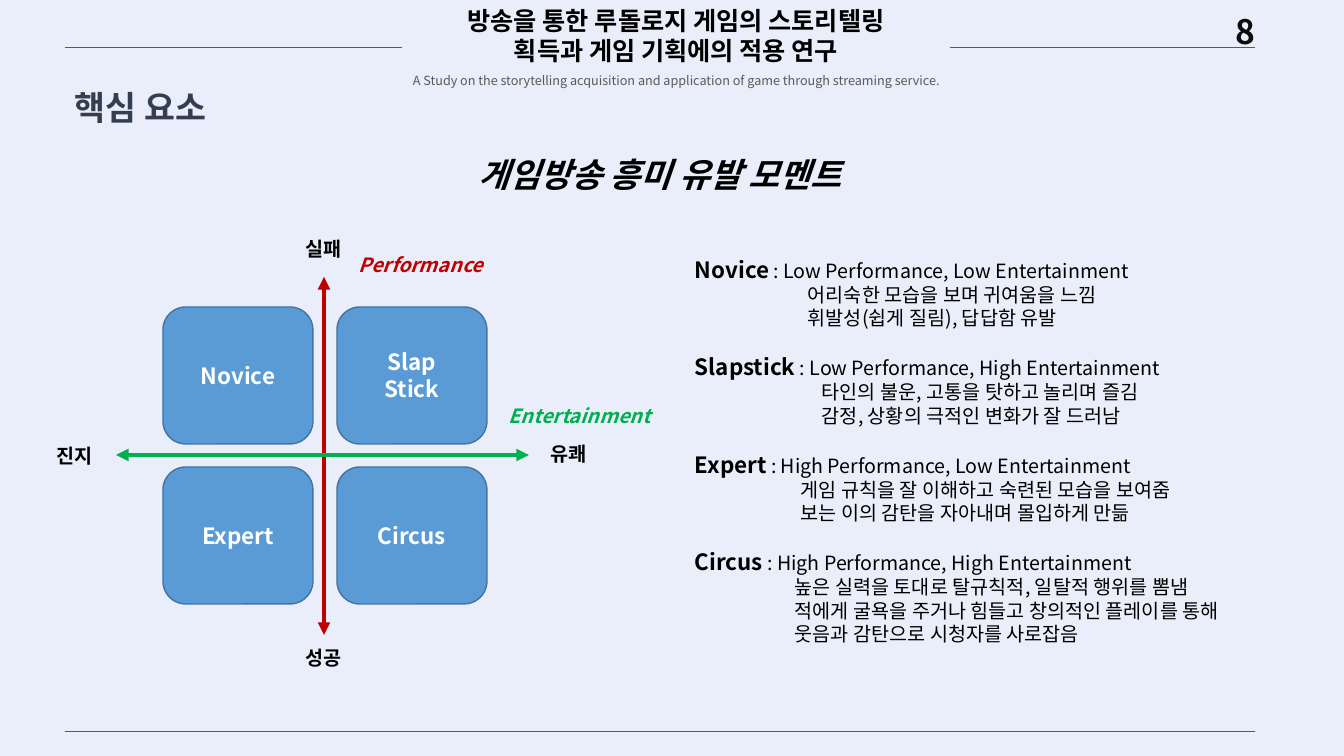
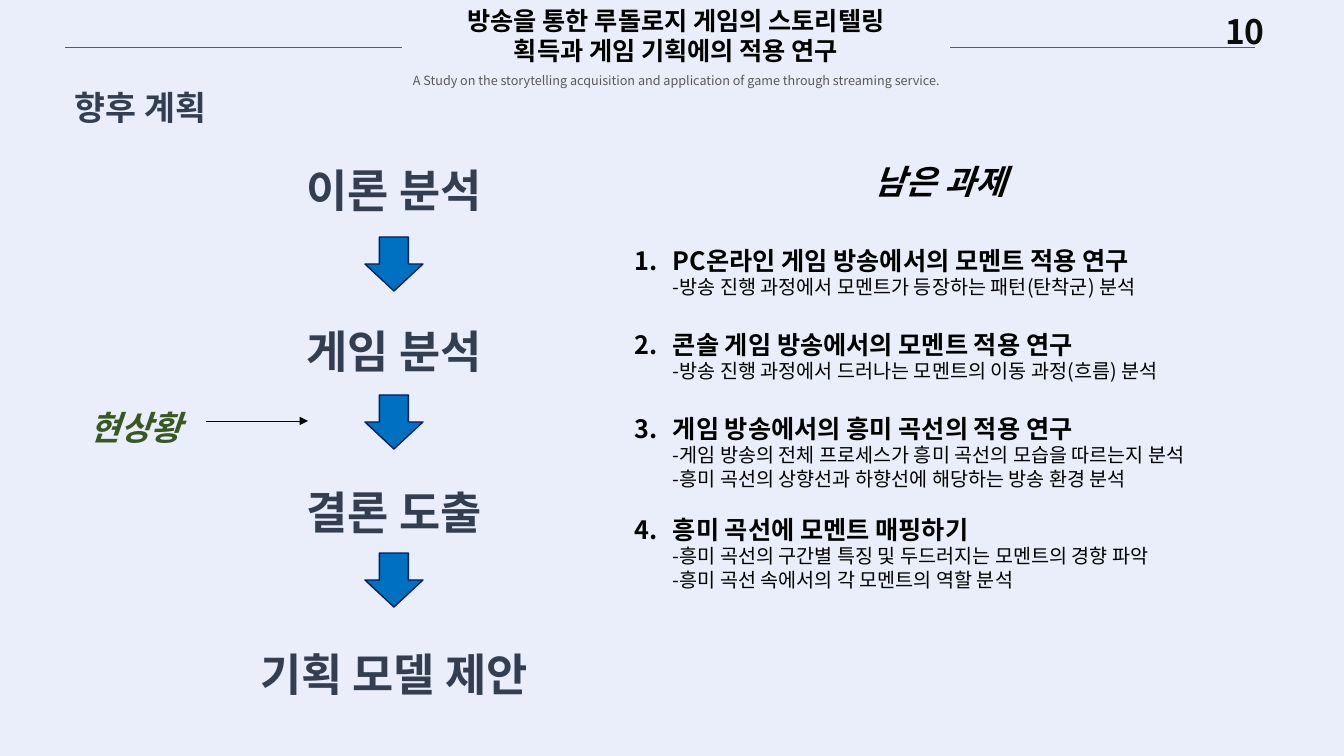
from lxml import etree
from pptx import Presentation
from pptx.dml.color import RGBColor
from pptx.enum.shapes import MSO_CONNECTOR, MSO_SHAPE
from pptx.enum.text import MSO_ANCHOR, PP_ALIGN
from pptx.oxml.ns import qn
from pptx.util import Emu, Pt

SLIDE_W, SLIDE_H = 1344, 756
FONT = "Noto Sans CJK KR"
COLORS = {
    "background": "EAEEFA", "rule": "595959", "page": "0D0D0D", "heading": "333F50",
    "black": "000000", "white": "FFFFFF", "subtitle": "595959",
    "tile": "5B9BD5", "tile_line": "43739E", "performance": "C00000",
    "entertainment": "00B050", "step": "0070C0", "step_line": "002060", "now": "385723",
}
LEFT, CENTER = PP_ALIGN.LEFT, PP_ALIGN.CENTER
TOP, MIDDLE = MSO_ANCHOR.TOP, MSO_ANCHOR.MIDDLE
RECT, ROUNDED = MSO_SHAPE.RECTANGLE, MSO_SHAPE.ROUNDED_RECTANGLE
DOWN_ARROW, STRAIGHT = MSO_SHAPE.DOWN_ARROW, MSO_CONNECTOR.STRAIGHT
SINGLE, WIDE = 1.2, 1.8  # line pitch as a multiple of the text size

STUDY_TITLE = ["방송을 통한 루돌로지 게임의 스토리텔링", "획득과 게임 기획에의 적용 연구"]
STUDY_SUBTITLE = ("A Study on the storytelling acquisition and application "
                  "of game through streaming service.")

# Name, axis levels, indent of the details, details
MOMENTS = [
    ("Novice", "Low Performance, Low Entertainment", 113,
     ["어리숙한 모습을 보며 귀여움을 느낌", "휘발성(쉽게 질림), 답답함 유발"]),
    ("Slapstick", "Low Performance, High Entertainment", 127,
     ["타인의 불운, 고통을 탓하고 놀리며 즐김", "감정, 상황의 극적인 변화가 잘 드러남"]),
    ("Expert", "High Performance, Low Entertainment", 106,
     ["게임 규칙을 잘 이해하고 숙련된 모습을 보여줌", "보는 이의 감탄을 자아내며 몰입하게 만듦"]),
    ("Circus", "High Performance, High Entertainment", 100,
     ["높은 실력을 토대로 탈규칙적, 일탈적 행위를 뽐냄",
      "적에게 굴욕을 주거나 힘들고 창의적인 플레이를 통해",
      "웃음과 감탄으로 시청자를 사로잡음"]),
]
QUADRANTS = [["Novice"], ["Slap", "Stick"], ["Expert"], ["Circus"]]
STEPS = ["이론 분석", "게임 분석", "결론 도출", "기획 모델 제안"]

# Space before in points, task, details
TASKS = [
    (0, "PC온라인 게임 방송에서의 모멘트 적용 연구",
     ["-방송 진행 과정에서 모멘트가 등장하는 패턴(탄착군) 분석"]),
    (21.6, "콘솔 게임 방송에서의 모멘트 적용 연구",
     ["-방송 진행 과정에서 드러나는 모멘트의 이동 과정(흐름) 분석"]),
    (21.6, "게임 방송에서의 흥미 곡선의 적용 연구",
     ["-게임 방송의 전체 프로세스가 흥미 곡선의 모습을 따르는지 분석",
      "-흥미 곡선의 상향선과 하향선에 해당하는 방송 환경 분석"]),
    (16.8, "흥미 곡선에 모멘트 매핑하기",
     ["-흥미 곡선의 구간별 특징 및 두드러지는 모멘트의 경향 파악",
      "-흥미 곡선 속에서의 각 모멘트의 역할 분석"]),
]


def px(length):
    return Emu(round(length * 914400 / 100.8))


def rgb(name):
    return RGBColor.from_string(COLORS[name])


# Text
def add_run(paragraph, text, size, color="black", bold=False, italic=False):
    run = paragraph.add_run()
    run.text = text
    font = run.font
    font.name, font.size, font.bold, font.italic = FONT, Pt(size), bold, italic
    font.color.rgb = rgb(color)
    etree.SubElement(run.font._element, qn("a:ea"), typeface=FONT)


def add_paragraph(frame, size, align=LEFT, pitch=SINGLE, before=0, indent=0):
    first = frame.paragraphs[0]
    paragraph = frame.add_paragraph() if first.runs else first
    paragraph.alignment = align
    paragraph.line_spacing = Pt(size * pitch)
    paragraph.space_before = Pt(before)
    if indent:
        paragraph._p.get_or_add_pPr().set("marL", str(px(indent)))
    return paragraph


def add_lines(frame, lines, size, color="black", align=CENTER, pitch=SINGLE,
              before=0, bold=True, italic=False):
    for number, line in enumerate(lines):
        paragraph = add_paragraph(frame, size, align, pitch, before if number else 0)
        add_run(paragraph, line, size, color, bold, italic)


def add_frame(slide, box, anchor=TOP):
    frame = slide.shapes.add_textbox(*map(px, box)).text_frame
    frame.word_wrap = True
    frame.vertical_anchor = anchor
    return frame


def add_number(paragraph, number, hang):
    props = paragraph._p.get_or_add_pPr()
    props.set("indent", str(-px(hang)))
    etree.SubElement(props, qn("a:buFont"), typeface="+mj-lt")
    etree.SubElement(props, qn("a:buAutoNum"), type="arabicPeriod", startAt=str(number))


# Shapes and lines
def add_block(slide, kind, box, fill, line=None):
    block = slide.shapes.add_shape(kind, *map(px, box))
    block.shadow.inherit = False
    block.fill.solid()
    block.fill.fore_color.rgb = rgb(fill)
    if line:
        block.line.color.rgb = rgb(line)
        block.line.width = Pt(1)
    else:
        block.line.fill.background()
    return block


def add_line(slide, start, end, color, width=0.5, arrows=()):
    line = slide.shapes.add_connector(STRAIGHT, *map(px, start + end))
    line.line.color.rgb = rgb(color)
    line.line.width = Pt(width)
    for arrow in arrows:
        etree.SubElement(line.line._get_or_add_ln(), qn(arrow), type="triangle")
    etree.SubElement(line._element.spPr, qn("a:effectLst"))


# Parts shared by the slides
def add_page(deck, page, heading):
    slide = deck.slides.add_slide(deck.slide_layouts[6])
    slide.background.fill.solid()
    slide.background.fill.fore_color.rgb = rgb("background")
    add_lines(add_frame(slide, (1164, 6, 162, 40)), [page], 24, "page")
    add_line(slide, (65, 47), (1255, 47), "rule")
    band = add_block(slide, RECT, (402, 0, 548, 94), "background").text_frame
    band.word_wrap = True
    band.vertical_anchor = TOP
    add_lines(band, STUDY_TITLE, 18)
    add_lines(band, [STUDY_SUBTITLE], 9, "subtitle", pitch=WIDE, bold=False)
    add_lines(add_frame(slide, (65, 65, 198, 63), MIDDLE), [heading], 24, "heading",
              LEFT, WIDE)
    return slide


# Quadrants around the two axes
def add_matrix(slide, left, top):
    for number, name in enumerate(QUADRANTS):
        row, column = divmod(number, 2)
        box = (left + 128 + 174 * column, top + 75 + 160 * row, 150, 137)
        tile = add_block(slide, ROUNDED, box, "tile", "tile_line").text_frame
        tile.vertical_anchor = MIDDLE
        add_lines(tile, name, 16, "white")
    both = ("a:headEnd", "a:tailEnd")
    add_line(slide, (left + 289, top + 45), (left + 289, top + 403), "performance", 3, both)
    add_line(slide, (left + 494, top + 223), (left + 81, top + 223), "entertainment", 3, both)
    for text, x, y, width, color in (
            ("실패", 196, 0, 186, "black"), ("성공", 196, 409, 186, "black"),
            ("진지", 0, 207, 80, "black"), ("유쾌", 494, 205, 80, "black"),
            ("Performance", 290, 16, 192, "performance"),
            ("Entertainment", 429, 167, 231, "entertainment")):
        add_lines(add_frame(slide, (left + x, top + y, width, 45)), [text], 14, color,
                  italic=color != "black")


def add_moments(slide, box):
    frame = add_frame(slide, box)
    for number, (name, levels, indent, details) in enumerate(MOMENTS):
        title = add_paragraph(frame, 16, before=16.8 if number else 0)
        add_run(title, name, 16, bold=True)
        add_run(title, " : " + levels, 14)
        for detail in details:
            add_run(add_paragraph(frame, 14, indent=indent), detail, 14)


# Steps with arrows between them
def add_steps(slide, box):
    left, top, width, _ = box
    add_lines(add_frame(slide, box, MIDDLE), STEPS, 32, "heading", pitch=WIDE, before=57.6)
    for gap in range(len(STEPS) - 1):
        arrow = (left + width // 2 - 29, top + 109 + 158 * gap, 58, 54)
        add_block(slide, DOWN_ARROW, arrow, "step", "step_line")


def add_now_marker(slide, left, top):
    add_lines(add_frame(slide, (left, top, 141, 64), MIDDLE), ["현상황"], 24, "now",
              pitch=WIDE, italic=True)
    add_line(slide, (left + 141, top + 36), (left + 243, top + 36), "black",
             arrows=("a:tailEnd",))


def add_tasks(slide, box):
    frame, hang = add_frame(slide, box), 38
    for number, (before, task, details) in enumerate(TASKS, 1):
        title = add_paragraph(frame, 18, before=before, indent=hang)
        add_number(title, number, hang)
        add_run(title, task, 18, bold=True)
        for detail in details:
            add_run(add_paragraph(frame, 14, indent=hang), detail, 14)


# Slides
def add_moment_slide(deck):
    slide = add_page(deck, "8", "핵심 요소")
    add_line(slide, (65, 731), (1255, 731), "rule")
    add_lines(add_frame(slide, (440, 128, 440, 72), MIDDLE), ["게임방송 흥미 유발 모멘트"], 24,
              pitch=WIDE, italic=True)
    add_matrix(slide, 35, 232)
    add_moments(slide, (685, 251, 631, 417))


def add_plan_slide(deck):
    slide = add_page(deck, "10", "향후 계획")
    add_steps(slide, (200, 128, 388, 580))
    add_now_marker(slide, 65, 385)
    add_lines(add_frame(slide, (625, 156, 631, 50)), ["남은 과제"], 24, italic=True)
    add_tasks(slide, (625, 240, 631, 367))


def main():
    deck = Presentation()
    deck.slide_width, deck.slide_height = px(SLIDE_W), px(SLIDE_H)
    add_moment_slide(deck)
    add_plan_slide(deck)
    deck.save("out.pptx")


if __name__ == "__main__":
    main()
